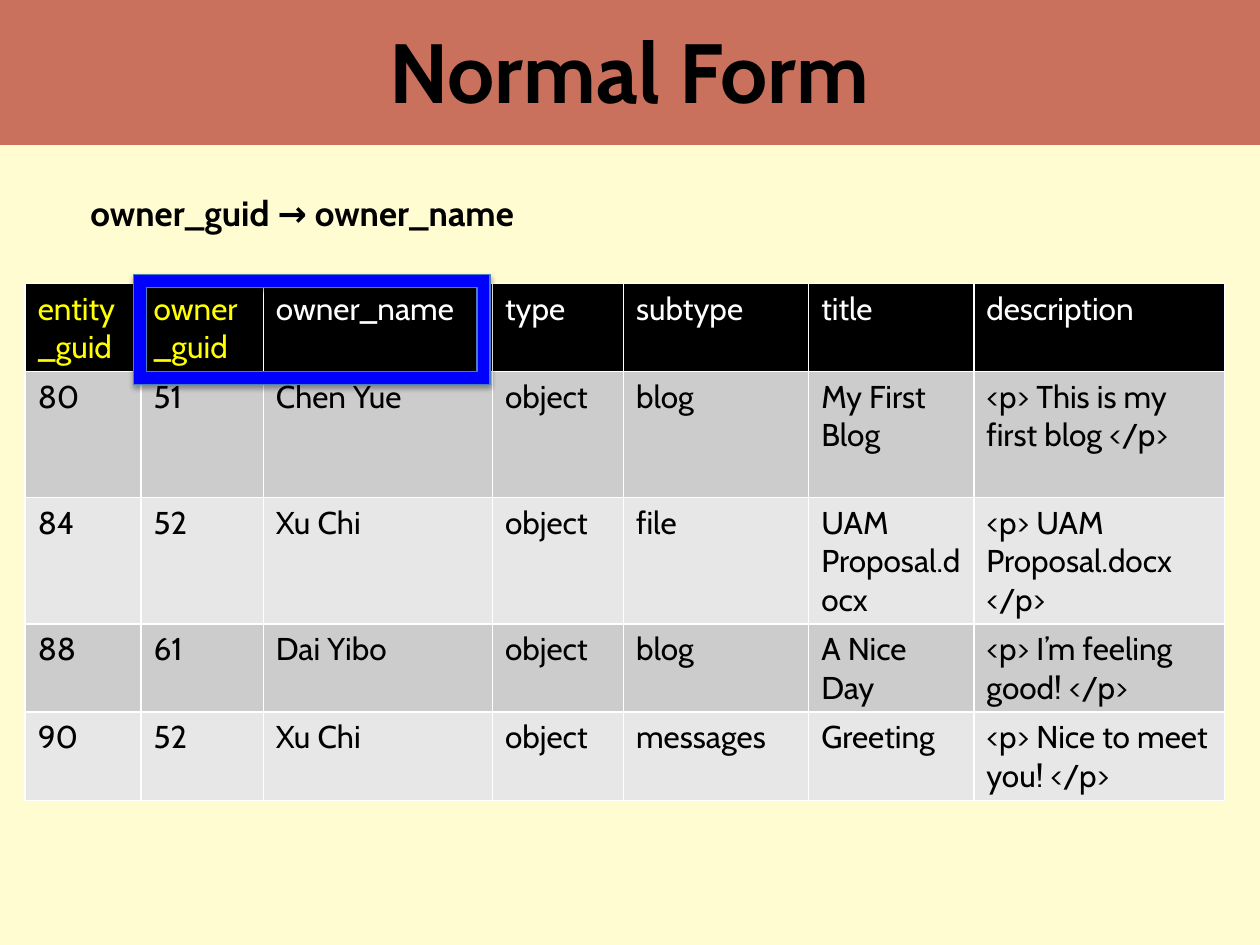
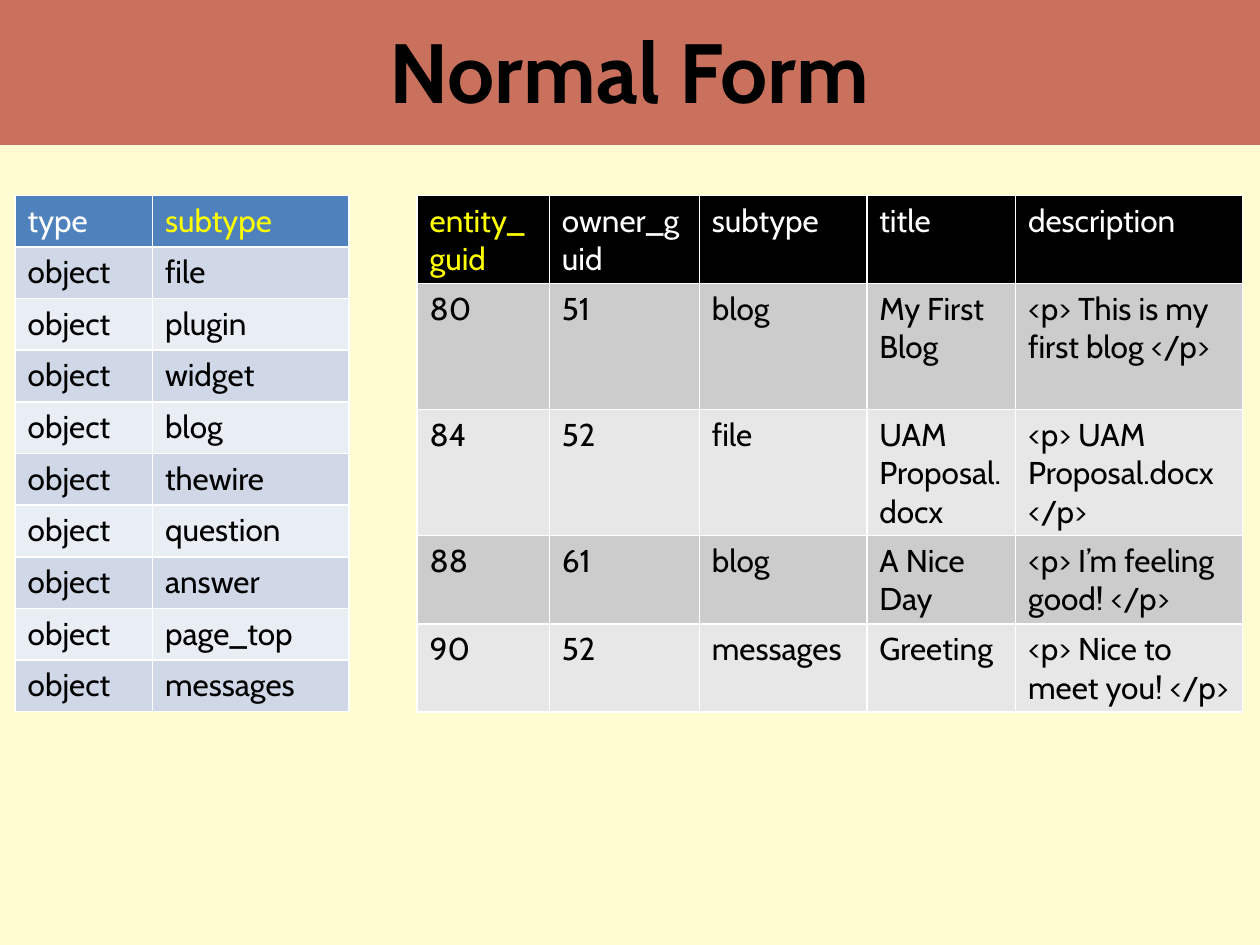
from dataclasses import dataclass

from lxml import etree
from pptx import Presentation
from pptx.dml.color import RGBColor
from pptx.enum import shapes, text
from pptx.oxml import ns
from pptx.slide import Slide
from pptx.util import Inches, Pt

# Shared style
FONT = "Cabin"
CREAM = RGBColor(0xFF, 0xFC, 0xD1)
TERRACOTTA = RGBColor(0xCA, 0x71, 0x5D)
BLACK = RGBColor(0x00, 0x00, 0x00)
WHITE = RGBColor(0xFF, 0xFF, 0xFF)
KEY_YELLOW = RGBColor(0xFF, 0xFF, 0x00)
FRAME_BLUE = RGBColor(0x00, 0x00, 0xFF)
FRAME_LINE = RGBColor(0x4B, 0x7E, 0xBC)


@dataclass(frozen=True)
class Palette:
    header: RGBColor
    odd: RGBColor
    even: RGBColor


GREY = Palette(BLACK, RGBColor(0xCC, 0xCC, 0xCC), RGBColor(0xE7, 0xE7, 0xE7))
BLUE = Palette(RGBColor(0x4F, 0x81, 0xBD), RGBColor(0xD0, 0xD8, 0xE8),
               RGBColor(0xE9, 0xED, 0xF4))


@dataclass(frozen=True)
class DataTable:
    left: float
    top: float
    widths: list[float]
    heights: list[float]
    rows: list[list[str]]
    keys: set[str]
    palette: Palette


# Relations shown on the slides
ENTITIES = [
    ["entity_guid", "owner_guid", "owner_name", "type", "subtype", "title", "description"],
    ["80", "51", "Chen Yue", "object", "blog", "My First Blog",
     "<p> This is my first blog </p>"],
    ["84", "52", "Xu Chi", "object", "file", "UAM Proposal.docx",
     "<p> UAM Proposal.docx </p>"],
    ["88", "61", "Dai Yibo", "object", "blog", "A Nice Day",
     "<p> I’m feeling good! </p>"],
    ["90", "52", "Xu Chi", "object", "messages", "Greeting",
     "<p> Nice to meet you! </p>"],
]
ENTITY_HEIGHTS = [0.7, 1, 1, 0.7, 0.7]
SUBTYPES = ["file", "plugin", "widget", "blog", "thewire", "question", "answer",
            "page_top", "messages"]


def without_columns(rows: list[list[str]], dropped: set[str]) -> list[list[str]]:
    kept = [i for i, name in enumerate(rows[0]) if name not in dropped]
    return [[row[i] for i in kept] for row in rows]


def add_run(paragraph, wording: str, size: float, color: RGBColor, bold: bool = False) -> None:
    run = paragraph.add_run()
    run.text = wording
    run.font.name = FONT
    run.font.size = Pt(size)
    run.font.bold = bold
    run.font.color.rgb = color


def add_cell_borders(cell) -> None:
    properties = cell._tc.get_or_add_tcPr()
    for position, side in enumerate(("lnL", "lnR", "lnT", "lnB")):
        line = etree.Element(ns.qn(f"a:{side}"), w=str(Pt(1)))
        fill = etree.SubElement(line, ns.qn("a:solidFill"))
        etree.SubElement(fill, ns.qn("a:srgbClr"), val=str(WHITE))
        properties.insert(position, line)


def add_data_table(slide: Slide, data: DataTable) -> None:
    graphic = slide.shapes.add_table(
        len(data.rows), len(data.widths), Inches(data.left), Inches(data.top),
        Inches(sum(data.widths)), Inches(sum(data.heights)))
    table = graphic.table
    for column, width in zip(table.columns, data.widths):
        column.width = Inches(width)
    for row, height in zip(table.rows, data.heights):
        row.height = Inches(height)
    for r, values in enumerate(data.rows):
        for c, value in enumerate(values):
            cell = table.cell(r, c)
            if r == 0:
                fill = data.palette.header
                color = KEY_YELLOW if value in data.keys else WHITE
            else:
                fill = data.palette.odd if r % 2 else data.palette.even
                color = BLACK
            cell.fill.solid()
            cell.fill.fore_color.rgb = fill
            add_cell_borders(cell)
            add_run(cell.text_frame.paragraphs[0], value, 18, color)


def add_titled_slide(presentation, title: str) -> Slide:
    slide = presentation.slides.add_slide(presentation.slide_layouts[6])
    # Title band
    band = slide.shapes.add_shape(shapes.MSO_SHAPE.RECTANGLE, 0, 0,
                                  presentation.slide_width, Inches(1.15))
    band.shadow.inherit = False
    band.fill.solid()
    band.fill.fore_color.rgb = TERRACOTTA
    band.line.fill.background()
    # Title text
    box = slide.shapes.add_textbox(Inches(0.51), 0, Inches(8.97), Inches(1.11))
    frame = box.text_frame
    frame.word_wrap = True
    frame.vertical_anchor = text.MSO_ANCHOR.MIDDLE
    paragraph = frame.paragraphs[0]
    paragraph.alignment = text.PP_ALIGN.CENTER
    add_run(paragraph, title, 48, BLACK, bold=True)
    return slide


def add_highlight_frame(slide: Slide) -> None:
    highlight = slide.shapes.add_shape(shapes.MSO_SHAPE.FRAME, Inches(1.06), Inches(2.18),
                                       Inches(2.83), Inches(0.87))
    highlight.adjustments[0] = 0.119
    highlight.fill.solid()
    highlight.fill.fore_color.rgb = FRAME_BLUE
    highlight.line.color.rgb = FRAME_LINE
    highlight.line.width = Pt(0.75)
    # Soft shadow below the frame
    highlight.shadow.inherit = False
    effects = highlight._element.spPr.find(ns.qn("a:effectLst"))
    shadow = etree.SubElement(effects, ns.qn("a:outerShdw"), blurRad=str(Pt(3.1)),
                              dist=str(Pt(1.8)), dir="5400000", rotWithShape="0")
    color = etree.SubElement(shadow, ns.qn("a:srgbClr"), val=str(BLACK))
    etree.SubElement(color, ns.qn("a:alpha"), val="35000")


def add_dependency(slide: Slide, wording: str) -> None:
    box = slide.shapes.add_textbox(Inches(0.62), Inches(1.47), Inches(3.73), Inches(0.44))
    box.text_frame.word_wrap = False
    box.text_frame.auto_size = text.MSO_AUTO_SIZE.SHAPE_TO_FIT_TEXT
    add_run(box.text_frame.paragraphs[0], wording, 20, BLACK, bold=True)


def main() -> None:
    presentation = Presentation()
    presentation.slide_width = Inches(10)
    presentation.slide_height = Inches(7.5)
    background = presentation.slide_master.background.fill
    background.solid()
    background.fore_color.rgb = CREAM

    # Slide 1: the dependency inside the full entity table
    slide = add_titled_slide(presentation, "Normal Form")
    add_data_table(slide, DataTable(
        0.2, 2.25, [0.92, 0.97, 1.82, 1.04, 1.47, 1.31, 1.99], ENTITY_HEIGHTS,
        ENTITIES, {"entity_guid", "owner_guid"}, GREY))
    add_highlight_frame(slide)
    add_dependency(slide, "owner_guid → owner_name")

    # Slide 2: the split tables
    slide = add_titled_slide(presentation, "Normal Form")
    add_data_table(slide, DataTable(
        3.31, 1.55, [1.05, 1.19, 1.33, 1.18, 1.8], ENTITY_HEIGHTS,
        without_columns(ENTITIES, {"owner_name", "type"}), {"entity_guid"}, GREY))
    subtype_rows = [["type", "subtype"]] + [["object", name] for name in SUBTYPES]
    add_data_table(slide, DataTable(
        0.12, 1.55, [1.09, 1.56], [0.41] * len(subtype_rows),
        subtype_rows, {"subtype"}, BLUE))

    presentation.save("out.pptx")


if __name__ == "__main__":
    main()
